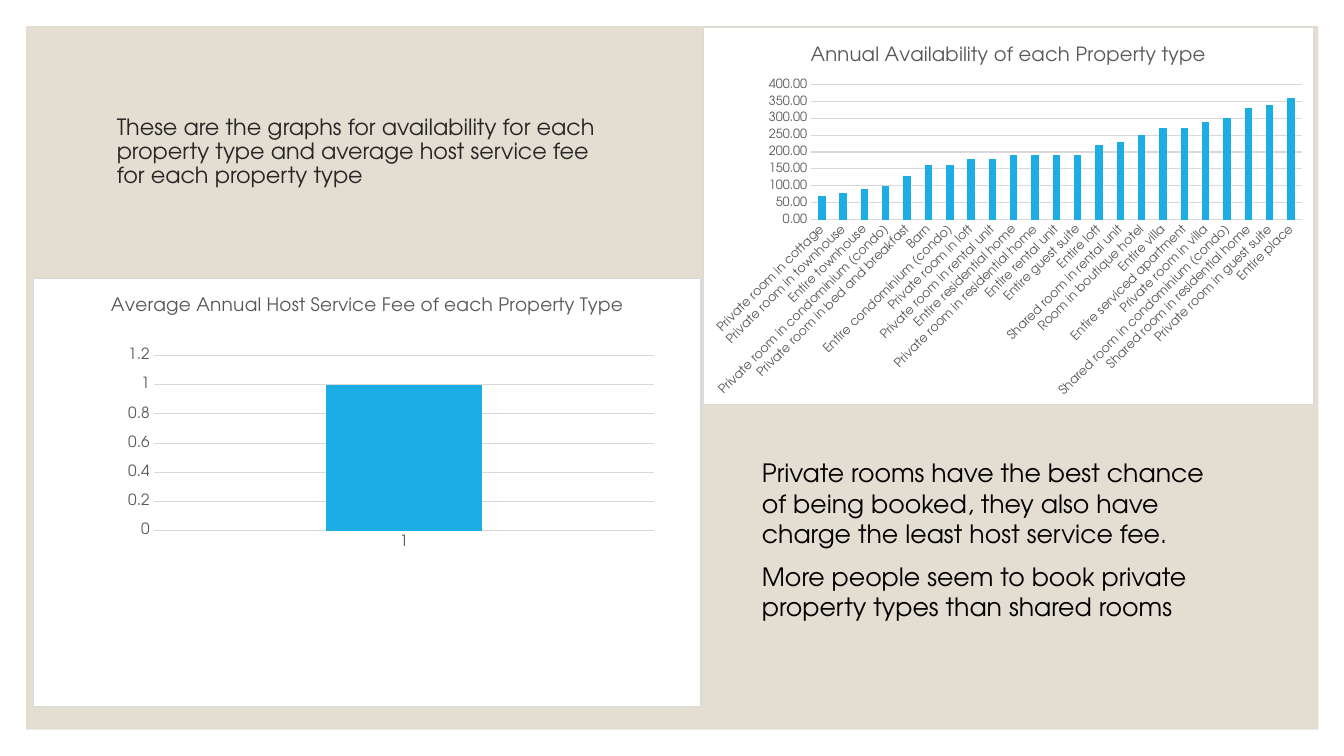
"""Slide with availability and host service fee charts by property type."""
from lxml import etree
from pptx import Presentation
from pptx.chart.data import CategoryChartData
from pptx.dml.color import RGBColor
from pptx.enum.chart import XL_CHART_TYPE as ChartType, XL_TICK_MARK as TickMark
from pptx.enum.shapes import MSO_SHAPE as Preset
from pptx.enum.text import MSO_ANCHOR as Anchor
from pptx.oxml import parse_xml
from pptx.oxml.ns import nsdecls, qn
from pptx.util import Inches, Pt

FONT = "TeX Gyre Adventor"
SAND = RGBColor(0xE3, 0xDE, 0xD1)
WHITE = RGBColor(0xFF, 0xFF, 0xFF)
BLACK = RGBColor(0x00, 0x00, 0x00)
CHARCOAL = RGBColor(0x26, 0x26, 0x26)
GREY = RGBColor(0x59, 0x59, 0x59)
PALE = RGBColor(0xD9, 0xD9, 0xD9)
BLUE = RGBColor(0x1C, 0xAD, 0xE4)


def add_text(paragraphs, box, size, color, anchor=Anchor.TOP, before=0, spacing=1.0):
    frame = slide.shapes.add_textbox(*map(Inches, box)).text_frame
    frame.word_wrap = True
    frame.vertical_anchor = anchor
    for index, words in enumerate(paragraphs):
        paragraph = frame.add_paragraph() if index else frame.paragraphs[0]
        paragraph.space_before = Pt(before)
        paragraph.line_spacing = spacing
        run = paragraph.add_run()
        run.text = words
        run.font.name, run.font.size, run.font.color.rgb = FONT, Pt(size), color


def add_columns(title, values, box, size, title_size, gap, overlap, number_format,
                rotation=0, plot=None):
    data = CategoryChartData()
    data.categories = list(values)
    data.add_series("Series 1", list(values.values()))
    chart = slide.shapes.add_chart(
        ChartType.COLUMN_CLUSTERED, *map(Inches, box), data).chart
    chart.has_legend = False
    chart.font.name, chart.font.size, chart.font.color.rgb = FONT, Pt(size), GREY

    chart.has_title = True
    chart.chart_title.include_in_layout = False
    heading = chart.chart_title.text_frame.paragraphs[0].add_run()
    heading.text = title
    heading.font.name, heading.font.size = FONT, Pt(title_size)
    heading.font.bold, heading.font.color.rgb = False, GREY

    columns = chart.plots[0]
    columns.gap_width, columns.overlap, columns.vary_by_categories = gap, overlap, False
    bars = columns.series[0].format.fill
    bars.solid()
    bars.fore_color.rgb = BLUE

    for axis in (chart.category_axis, chart.value_axis):
        axis.major_tick_mark = axis.minor_tick_mark = TickMark.NONE
    category_line = chart.category_axis.format.line
    grid_line = chart.value_axis.major_gridlines.format.line
    for line in (category_line, grid_line):
        line.color.rgb, line.width = PALE, Pt(0.75)
    chart.value_axis.format.line.fill.background()
    chart.value_axis.tick_labels.number_format = number_format
    chart.value_axis.tick_labels.number_format_is_linked = False
    chart.category_axis.tick_labels.font.size = Pt(size)
    label_body = chart.category_axis._element.find(qn("c:txPr")).find(qn("a:bodyPr"))
    label_body.set("rot", str(rotation * 60000))
    label_body.set("vert", "horz")

    plot_area = chart._chartSpace.chart.plotArea
    if plot:
        for old in plot_area.findall(qn("c:layout")):
            plot_area.remove(old)
        layout = etree.Element(qn("c:layout"))
        manual = etree.SubElement(layout, qn("c:manualLayout"))
        settings = zip(("layoutTarget", "xMode", "yMode", "x", "y", "w", "h"),
                       ("inner", "edge", "edge", *plot))
        for tag, value in settings:
            etree.SubElement(manual, qn(f"c:{tag}")).set("val", str(value))
        plot_area.insert(0, layout)
    chart._chartSpace.chart.addnext(parse_xml(
        f'<c:spPr {nsdecls("c", "a")}>'
        f'<a:solidFill><a:srgbClr val="{WHITE}"/></a:solidFill>'
        f'<a:ln w="{Pt(0.75)}"><a:solidFill><a:srgbClr val="{PALE}"/></a:solidFill></a:ln>'
        '</c:spPr>'))


deck = Presentation()
deck.slide_width, deck.slide_height = Inches(40 / 3), Inches(7.5)
slide = deck.slides.add_slide(deck.slide_layouts[6])

backdrop = slide.shapes.add_shape(
    Preset.RECTANGLE, Inches(0.26), Inches(0.26), Inches(12.82), Inches(6.98))
backdrop.shadow.inherit = False
backdrop.fill.solid()
backdrop.fill.fore_color.rgb = SAND
backdrop.line.fill.background()

add_text(["These are the graphs for availability for each property type "
          "and average host service fee for each property type"],
         (1.06, 0.76, 5.18, 1.5), 16, CHARCOAL, anchor=Anchor.MIDDLE, spacing=0.9)

add_columns("Average Annual Host Service Fee of each Property Type", {"1": 1},
            (0.33, 2.76, 6.63, 4.25), size=11, title_size=13.2, gap=219, overlap=-27,
            number_format="General", plot=(0.18, 0.18, 0.75, 0.41))

add_text(["Private rooms have the best chance of being booked, they also have "
          "charge the least host service fee.",
          "More people seem to book private property types than shared rooms"],
         (7.46, 4.49, 4.71, 1.91), 18, BLACK, before=9)

availability = {
    "Private room in cottage": 70,
    "Private room in townhouse": 80,
    "Entire townhouse": 90,
    "Private room in condominium (condo)": 100,
    "Private room in bed and breakfast": 130,
    "Barn": 160,
    "Entire condominium (condo)": 160,
    "Private room in loft": 180,
    "Private room in rental unit": 180,
    "Entire residential home": 190,
    "Private room in residential home": 190,
    "Entire rental unit": 190,
    "Entire guest suite": 190,
    "Entire loft": 220,
    "Shared room in rental unit": 230,
    "Room in boutique hotel": 250,
    "Entire villa": 270,
    "Entire serviced apartment": 270,
    "Private room in villa": 290,
    "Shared room in condominium (condo)": 300,
    "Shared room in residential home": 330,
    "Private room in guest suite": 340,
    "Entire place": 360,
}
add_columns("Annual Availability of each Property type", availability,
            (6.97, 0.27, 6.07, 3.75), size=9, title_size=14, gap=182, overlap=0,
            number_format="0.00", rotation=-45)

deck.save("out.pptx")
